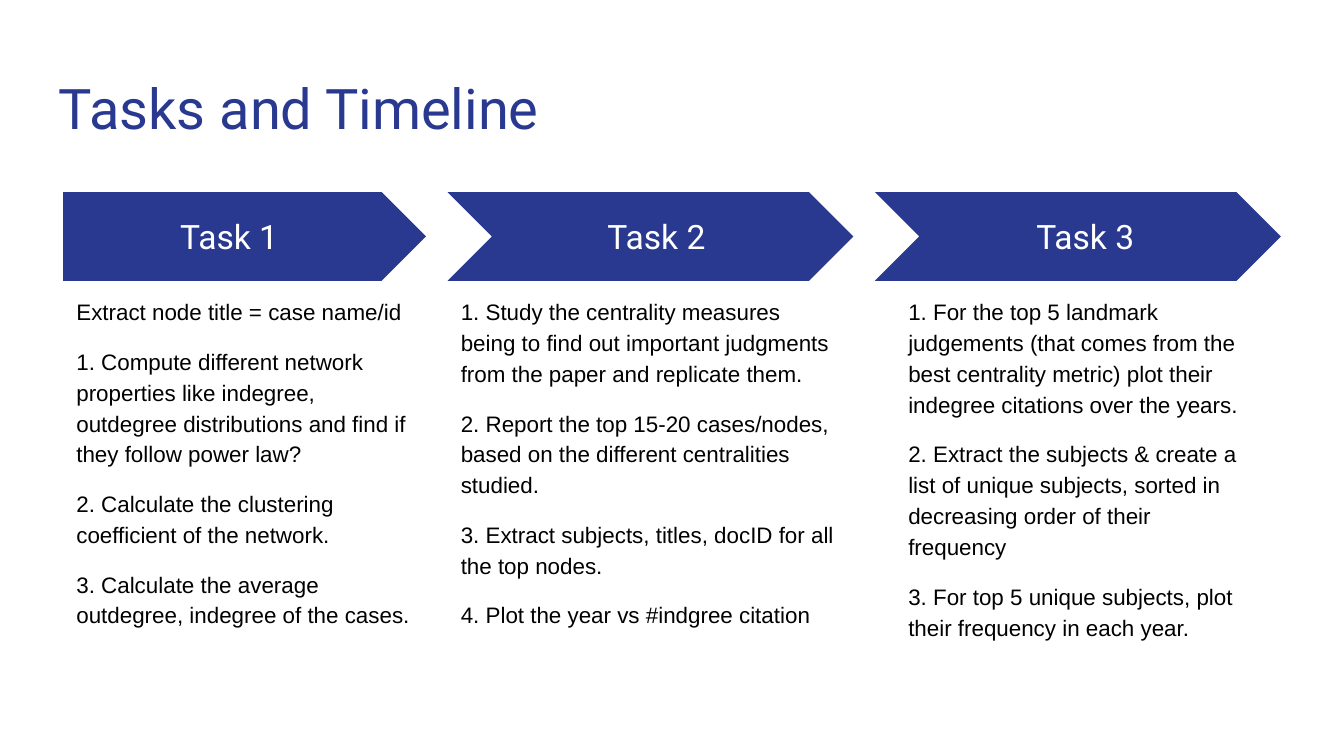
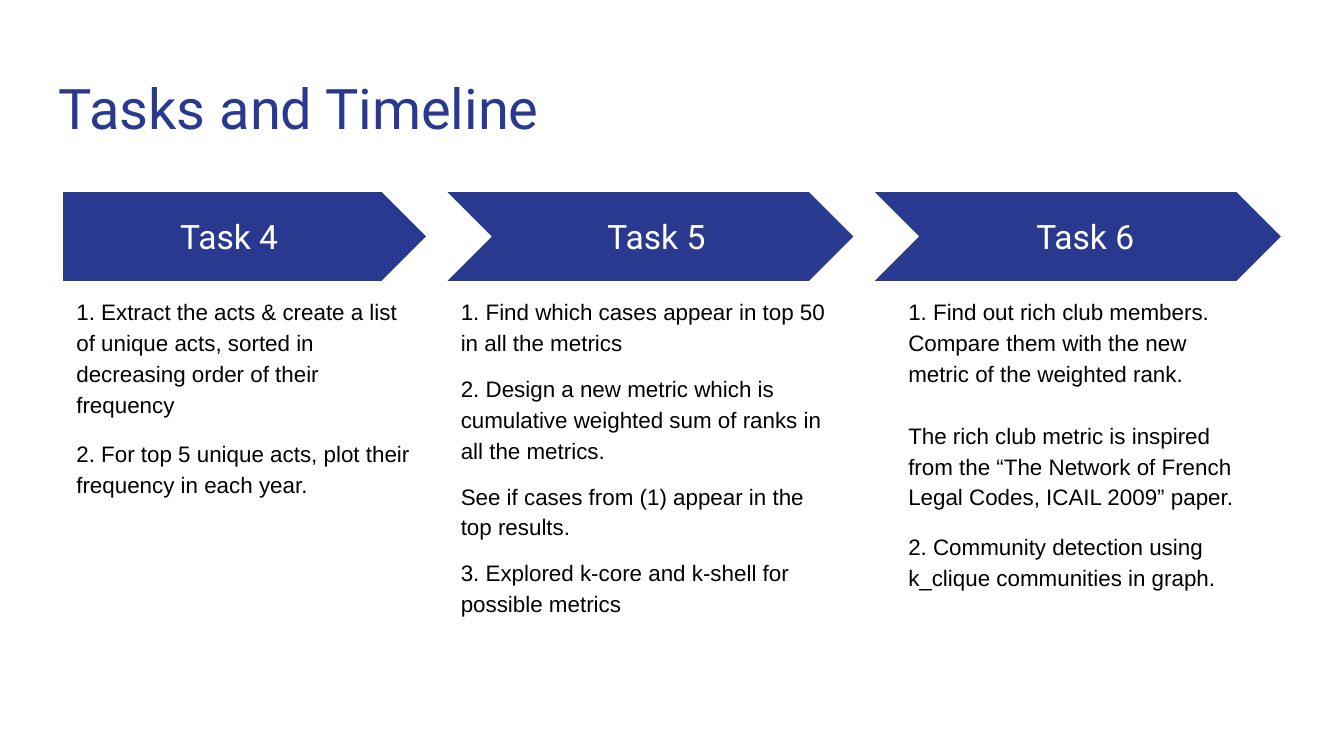
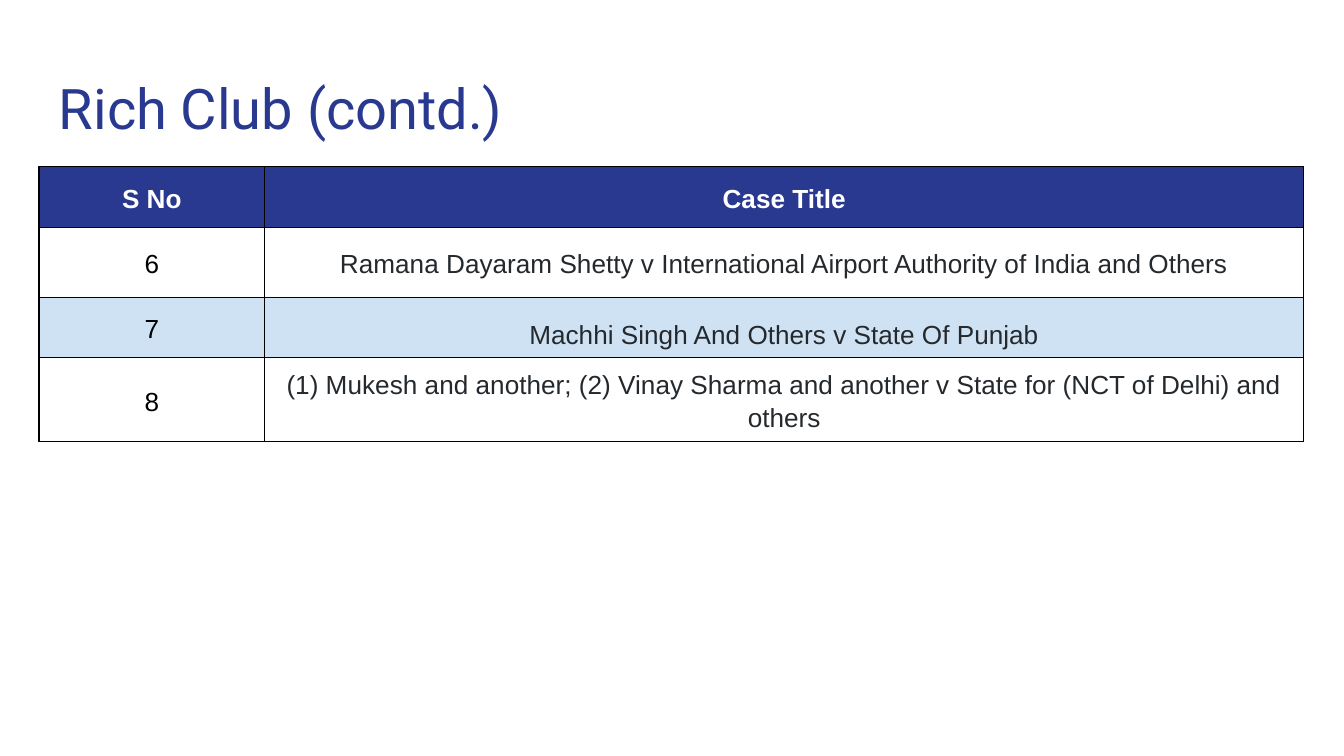
"""Build the task timeline slides and the rich club table."""
from dataclasses import dataclass

from lxml import etree
from pptx import Presentation
from pptx import util as u
from pptx.dml import color
from pptx.enum import shapes, text
from pptx.oxml import ns

COLORS = {
    "navy": "2A3990",
    "white": "FFFFFF",
    "black": "000000",
    "ink": "24292E",
    "pale": "CFE2F3",
}
SHAPE, ALIGN, ANCHOR = shapes.MSO_SHAPE, text.PP_ALIGN, text.MSO_ANCHOR
WIDE = u.Inches(10)
TOP, BAND, PITCH = 1.43, 0.66, 3.18
LEADING = 1.15


@dataclass(frozen=True)
class Style:
    size: float
    font: str
    color: str
    bold: bool = False
    align: ALIGN = ALIGN.LEFT
    leading: float = 1.0


@dataclass(frozen=True)
class Column:
    shape: SHAPE
    left: float
    width: float
    label: float
    body: float
    room: float


@dataclass(frozen=True)
class Task:
    name: str
    steps: list[str]
    gaps: tuple[float, ...] = (10, 10, 10)


TITLE = Style(30, "Roboto", "navy")
LABEL = Style(18, "Roboto", "white", align=ALIGN.CENTER)
BODY = Style(12, "Arial", "black", leading=LEADING)
HEAD = Style(14, "Arial", "white", True, ALIGN.CENTER, LEADING)
INDEX = Style(14, "Arial", "black", False, ALIGN.CENTER, LEADING)
CASE = Style(14, "Arial", "ink", False, ALIGN.CENTER, LEADING)

COLUMNS = [
    Column(SHAPE.PENTAGON, 0.47, 2.7, 0.47, 0.47, 2.7),
    Column(SHAPE.CHEVRON, 3.33, 3.02, 3.65, 3.33, 3.02),
    Column(SHAPE.CHEVRON, 3.33 + PITCH, 3.02, 6.84, 6.66, 2.7),
]

PLANS = [
    [
        Task("Task 1", [
            "Extract node title = case name/id",
            "1. Compute different network properties like indegree, outdegree "
            "distributions and find if they follow power law?",
            "2. Calculate the clustering coefficient of the network.",
            "3. Calculate the average outdegree, indegree of the cases.",
        ]),
        Task("Task 2", [
            "1. Study the centrality measures being to find out important "
            "judgments from the paper and replicate them.",
            "2. Report the top 15-20 cases/nodes, based on the different "
            "centralities studied.",
            "3. Extract subjects, titles, docID for all the top nodes.",
            "4. Plot the year vs #indgree citation",
        ]),
        Task("Task 3", [
            "1. For the top 5 landmark judgements (that comes from the best "
            "centrality metric) plot their indegree citations over the years.",
            "2. Extract the subjects & create a list of unique subjects, "
            "sorted in decreasing order of their frequency",
            "3. For top 5 unique subjects, plot their frequency in each year.",
        ]),
    ],
    [
        Task("Task 4", [
            "1. Extract the acts & create a list of unique acts, sorted in "
            "decreasing order of their frequency",
            "2. For top 5 unique acts, plot their frequency in each year.",
        ]),
        Task("Task 5", [
            "1. Find which cases appear in top 50 in all the metrics",
            "2. Design a new metric which is cumulative weighted sum of ranks "
            "in all the metrics.",
            "See if cases from (1) appear in the top results.",
            "3. Explored k-core and k-shell for possible metrics",
        ], (8, 8, 8)),
        Task("Task 6", [
            "1. Find out rich club members. Compare them with the new metric "
            "of the weighted rank.",
            "The rich club metric is inspired from the “The Network of French "
            "Legal Codes, ICAIL 2009” paper.",
            "2. Community detection using k_clique communities in graph.",
        ], (16.5, 10)),
    ],
]

CASES = [
    ("S No", "Case Title"),
    ("6", "Ramana Dayaram Shetty v International Airport Authority of India "
          "and Others"),
    ("7", "Machhi Singh And Others v State Of Punjab"),
    ("8", "(1) Mukesh and another; (2) Vinay Sharma and another v State for "
          "(NCT of Delhi) and others"),
]
WIDTHS = (1.68, 7.73)
HEIGHTS = (0.4, 0.52, 0.4, 0.4)
FILLS = ("navy", "white", "pale", "white")


def tint(name: str) -> color.RGBColor:
    """Return a named colour."""
    return color.RGBColor.from_string(COLORS[name])


def paint(fill, name: str) -> None:
    """Apply a solid named fill."""
    fill.solid()
    fill.fore_color.rgb = tint(name)


def pad(owner, side: float, edge: float) -> None:
    """Set the margins of a frame or cell."""
    owner.margin_left = owner.margin_right = u.Inches(side)
    owner.margin_top = owner.margin_bottom = u.Inches(edge)


def write(frame, lines: list[str], style: Style, gaps=()) -> None:
    """Write styled paragraphs with the gaps between them."""
    for i, line in enumerate(lines):
        para = frame.add_paragraph() if i else frame.paragraphs[0]
        para.text = line
        para.alignment = style.align
        para.line_spacing = style.leading
        if i:
            para.space_before = u.Pt(gaps[i - 1])
        font = para.font
        font.size, font.name, font.bold = u.Pt(style.size), style.font, style.bold
        font.color.rgb = tint(style.color)


def add_text(slide, box: tuple, lines: list[str], style: Style,
             anchor=ANCHOR.TOP, gaps=()) -> None:
    """Add a wrapped text box."""
    frame = slide.shapes.add_textbox(*map(u.Inches, box)).text_frame
    frame.word_wrap = True
    frame.auto_size = text.MSO_AUTO_SIZE.NONE
    frame.vertical_anchor = anchor
    pad(frame, 0.1, 0.1)
    write(frame, lines, style, gaps)


def add_slide(deck, title: str):
    """Add a blank slide with the shared title."""
    slide = deck.slides.add_slide(deck.slide_layouts[6])
    add_text(slide, (0.34, 0.45, 9.32, 0.66), [title], TITLE)
    return slide


def add_task(slide, col: Column, task: Task) -> None:
    """Draw one arrow with its label and steps."""
    box = map(u.Inches, (col.left, TOP, col.width, BAND))
    arrow = slide.shapes.add_shape(col.shape, *box)
    arrow.shadow.inherit = False
    arrow.adjustments[0] = 0.5
    paint(arrow.fill, "navy")
    arrow.line.fill.background()
    add_text(slide, (col.label, TOP + 0.16, 2.47, 0.34), [task.name], LABEL,
             ANCHOR.MIDDLE)
    add_text(slide, (col.body, TOP + BAND, col.room, 2.9), task.steps, BODY,
             gaps=task.gaps)


def add_rules(cell) -> None:
    """Draw thin black borders round a cell."""
    props = cell._tc.get_or_add_tcPr()
    for side in ("lnL", "lnR", "lnT", "lnB"):
        line = etree.SubElement(props, ns.qn(f"a:{side}"), w=str(u.Pt(0.75)))
        solid = etree.SubElement(line, ns.qn("a:solidFill"))
        etree.SubElement(solid, ns.qn("a:srgbClr"), val=COLORS["black"])


def add_cases(slide) -> None:
    """Draw the table of cases."""
    box = map(u.Inches, (0.29, 1.24, sum(WIDTHS), sum(HEIGHTS)))
    table = slide.shapes.add_table(len(CASES), len(WIDTHS), *box).table
    table.horz_banding = False
    for col, width in zip(table.columns, WIDTHS):
        col.width = u.Inches(width)
    for r, values in enumerate(CASES):
        table.rows[r].height = u.Inches(HEIGHTS[r])
        for c, value in enumerate(values):
            cell = table.cell(r, c)
            case = r > 0 and c == 1
            add_rules(cell)
            paint(cell.fill, FILLS[r])
            pad(cell, *((0.14, 0.06) if case else (0.1, 0.1)))
            low = case and FILLS[r] == "pale"
            cell.vertical_anchor = ANCHOR.BOTTOM if low else ANCHOR.MIDDLE
            style = CASE if case else INDEX if r else HEAD
            write(cell.text_frame, [value], style)


def main() -> None:
    """Build and save the deck."""
    deck = Presentation()
    deck.slide_width, deck.slide_height = WIDE, WIDE * 9 // 16
    for plan in PLANS:
        slide = add_slide(deck, "Tasks and Timeline")
        for col, task in zip(COLUMNS, plan):
            add_task(slide, col, task)
    add_cases(add_slide(deck, "Rich Club (contd.)"))
    deck.save("out.pptx")


if __name__ == "__main__":
    main()
